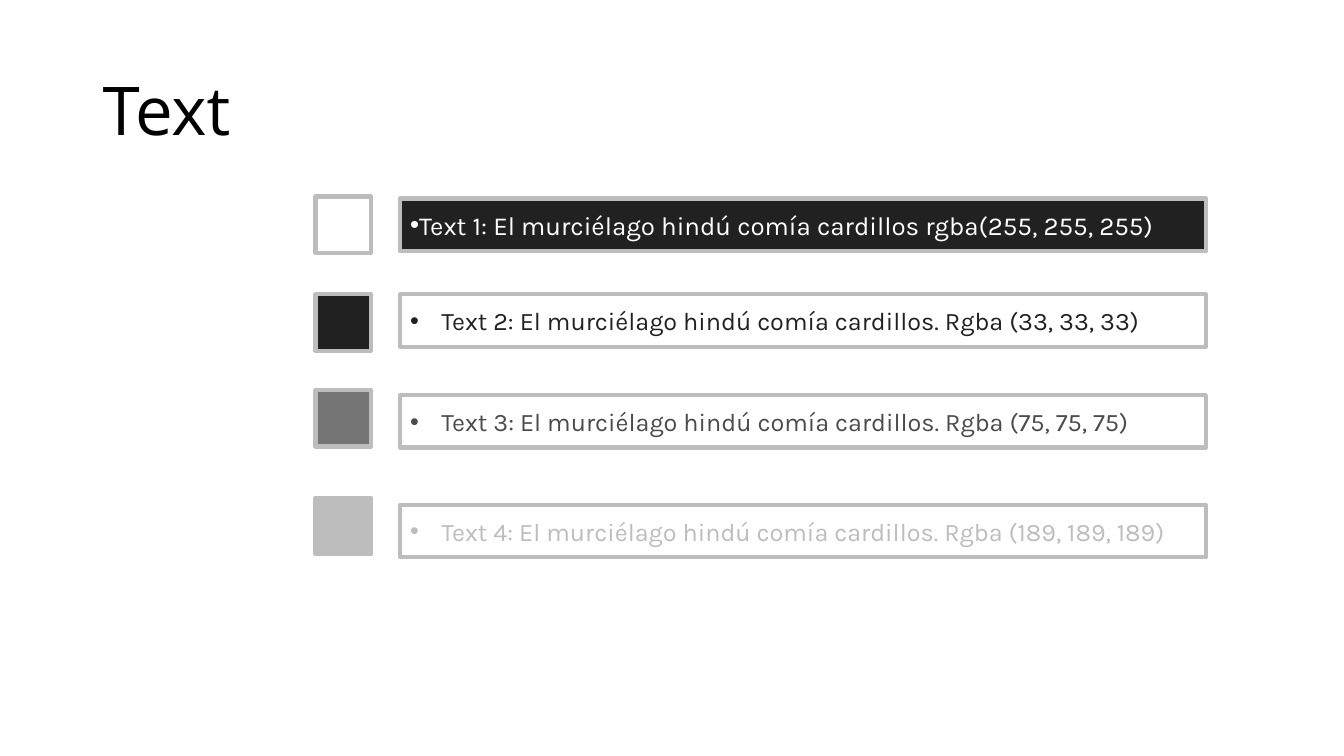
from lxml.etree import SubElement
from pptx import Presentation
from pptx.dml.color import RGBColor
from pptx.enum.shapes import MSO_SHAPE as Shape
from pptx.enum.text import MSO_ANCHOR as Anchor, PP_ALIGN as Align
from pptx.oxml.ns import qn
from pptx.util import Inches, Pt

BLACK = RGBColor(0x00, 0x00, 0x00)
WHITE = RGBColor(0xFF, 0xFF, 0xFF)
INK = RGBColor(0x21, 0x21, 0x21)
DARK_GRAY = RGBColor(0x4B, 0x4B, 0x4B)
MID_GRAY = RGBColor(0x75, 0x75, 0x75)
LIGHT_GRAY = RGBColor(0xBD, 0xBD, 0xBD)

HEADING = "Text"
# sample, swatch colour, text colour, bar fill, swatch top, bar top, size, hanging indent
SAMPLES = [
    ("Text 1: El murciélago hindú comía cardillos rgba(255, 255, 255)",
     WHITE, WHITE, INK, 1.95, 1.97, 18.5, 0),
    ("Text 2: El murciélago hindú comía cardillos. Rgba (33, 33, 33)",
     INK, INK, WHITE, 2.92, 2.92, 18, 0.31),
    ("Text 3: El murciélago hindú comía cardillos. Rgba (75, 75, 75)",
     MID_GRAY, DARK_GRAY, WHITE, 3.87, 3.92, 18, 0.31),
    ("Text 4: El murciélago hindú comía cardillos. Rgba (189, 189, 189)",
     LIGHT_GRAY, LIGHT_GRAY, WHITE, 4.94, 5.01, 18, 0.31),
]
SWATCH_LEFT, SWATCH_WIDTH, SWATCH_HEIGHT = 3.13, 0.55, 0.56
BAR_LEFT, BAR_WIDTH, BAR_HEIGHT = 3.97, 7.99, 0.52


def add_box(slide, left, top, width, height, fill):
    box = slide.shapes.add_shape(
        Shape.RECTANGLE, Inches(left), Inches(top), Inches(width), Inches(height))
    box.shadow.inherit = False
    box.fill.solid()
    box.fill.fore_color.rgb = fill
    box.line.color.rgb = LIGHT_GRAY
    box.line.width = Pt(3)
    return box


def write(frame, text, font_name, size, color):
    frame.word_wrap = True
    frame.vertical_anchor = Anchor.MIDDLE
    paragraph = frame.paragraphs[0]
    paragraph.text = text
    paragraph.alignment = Align.LEFT
    paragraph.font.name = font_name
    paragraph.font.size = Pt(size)
    paragraph.font.color.rgb = color
    return paragraph


def add_bullet(paragraph, hanging):
    properties = paragraph._p.get_or_add_pPr()
    properties.set("marL", str(Inches(hanging)))
    properties.set("indent", str(-Inches(hanging)))
    bullet_font = SubElement(properties, qn("a:buFont"))
    bullet_font.set("typeface", "Arial")
    bullet = SubElement(properties, qn("a:buChar"))
    bullet.set("char", "•")
    properties.append(properties.find(qn("a:defRPr")))


def main():
    deck = Presentation()
    deck.slide_width, deck.slide_height = Inches(13.33), Inches(7.5)
    slide = deck.slides.add_slide(deck.slide_layouts[6])

    heading = slide.shapes.add_textbox(
        Inches(0.92), Inches(0.4), Inches(11.5), Inches(1.45))
    write(heading.text_frame, HEADING, "Open Sans", 48, BLACK).line_spacing = 0.9

    for text, swatch, color, fill, swatch_top, bar_top, size, hanging in SAMPLES:
        add_box(slide, SWATCH_LEFT, swatch_top, SWATCH_WIDTH, SWATCH_HEIGHT, swatch)
        bar = add_box(slide, BAR_LEFT, bar_top, BAR_WIDTH, BAR_HEIGHT, fill)
        sample = write(bar.text_frame, text, "Karla", size, color)
        add_bullet(sample, hanging)

    deck.save("out.pptx")


if __name__ == "__main__":
    main()
